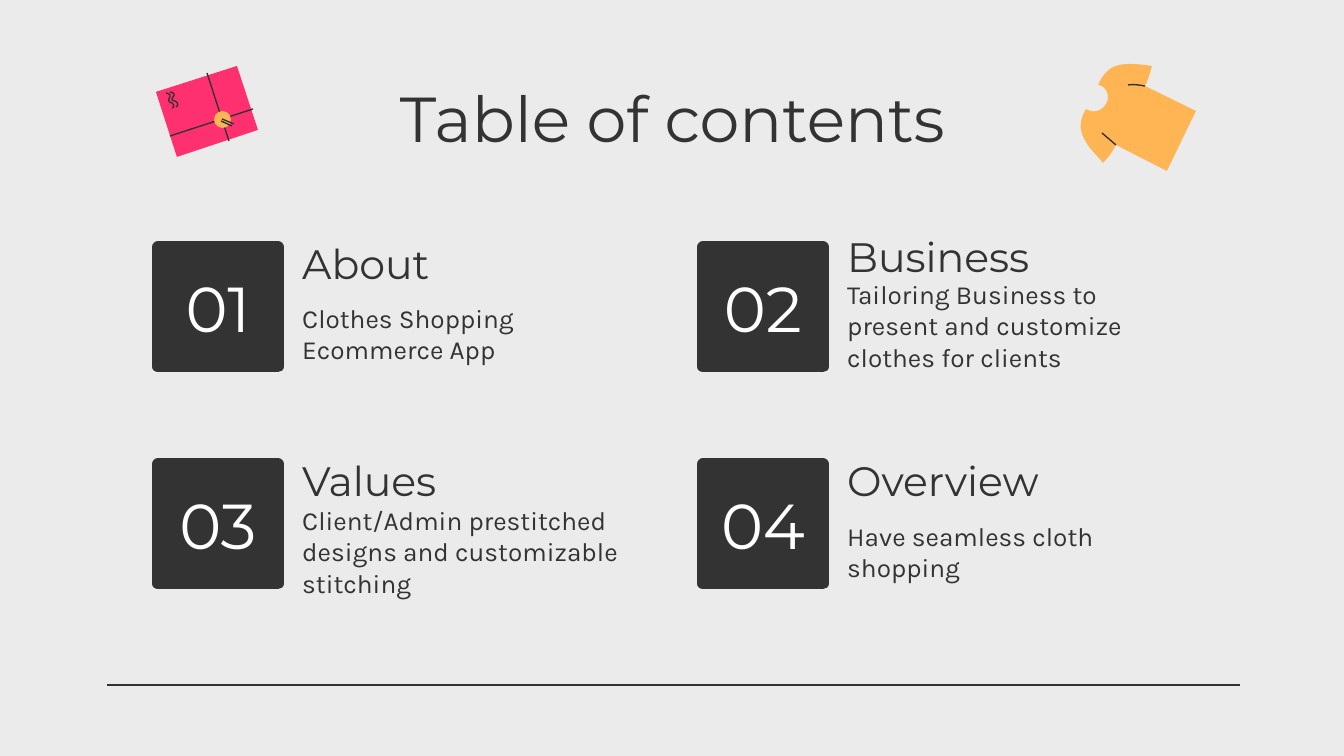
from lxml import etree
from pptx import Presentation
from pptx.dml.color import RGBColor
from pptx.enum.shapes import MSO_CONNECTOR as CONN, MSO_SHAPE as SHAPE
from pptx.enum.text import MSO_ANCHOR as ANCHOR, MSO_AUTO_SIZE as AUTO, PP_ALIGN as ALIGN
from pptx.oxml.ns import qn
from pptx.util import Inches, Pt

PX = Inches(10) / 1344
DARK = RGBColor(0x33, 0x33, 0x33)
LIGHT = RGBColor(0xEB, 0xEB, 0xEB)
WHITE = RGBColor(0xFF, 0xFF, 0xFF)
PINK = RGBColor(0xFF, 0x30, 0x70)
ORANGE = RGBColor(0xFF, 0xB5, 0x54)

prs = Presentation()
prs.slide_width, prs.slide_height = round(1344 * PX), round(756 * PX)
slide = prs.slides.add_slide(prs.slide_layouts[5])
slide.background.fill.solid()
slide.background.fill.fore_color.rgb = LIGHT
shapes = slide.shapes


def write(sp, text, size, font, color, align=ALIGN.LEFT, anchor=ANCHOR.TOP):
    tf = sp.text_frame
    tf.word_wrap, tf.auto_size, tf.vertical_anchor = True, AUTO.NONE, anchor
    tf.margin_left = tf.margin_right = tf.margin_top = tf.margin_bottom = Inches(0.1)
    p = tf.paragraphs[0]
    p.alignment = align
    r = p.add_run()
    r.text = text
    r.font.size, r.font.name, r.font.color.rgb = Pt(size), font, color


def outline(start, segments, fill=None):
    """Pairs are line ends, sixes are cubic curves; without a fill it is a stroke."""
    points = [start]
    for seg in segments:
        if len(seg) == 2:
            points.append(seg)
            continue
        ctrl = [points[-1], seg[:2], seg[2:4], seg[4:]]
        for t in (i / 12 for i in range(1, 13)):
            weights = ((1 - t) ** 3, 3 * t * (1 - t) ** 2, 3 * t * t * (1 - t), t ** 3)
            points.append(tuple(sum(w * c[k] for w, c in zip(weights, ctrl)) for k in (0, 1)))
    points = [(x * PX, y * PX) for x, y in points]
    builder = shapes.build_freeform(*points[0])
    builder.add_line_segments(points[1:], close=fill is not None)
    sp = builder.convert_to_shape()
    sp.shadow.inherit = False
    if fill is None:
        sp.fill.background()
        sp.line.color.rgb, sp.line.width = DARK, Pt(0.75)
    else:
        sp.fill.solid()
        sp.fill.fore_color.rgb = fill
        sp.line.fill.background()


# Title
title = shapes.title
title.left, title.top, title.width, title.height = [round(v * PX) for v in (106, 66, 1133, 85)]
write(title, "Table of contents", 34, "Montserrat", DARK, ALIGN.CENTER)

# Contents: number tile, heading and description; tops of the two texts vary
items = [
    ("01", "About", "Clothes Shopping Ecommerce App", 247, 289),
    ("02", "Business", "Tailoring Business to present and customize clothes for clients", 240, 265),
    ("03", "Values", "Client/Admin prestitched designs and customizable stitching", 464, 491),
    ("04", "Overview", "Have seamless cloth shopping", 464, 507),
]
for i, (number, heading, description, heading_top, description_top) in enumerate(items):
    left, top = 158 + i % 2 * 545, 247 + i // 2 * 217
    tile = shapes.add_shape(SHAPE.RECTANGLE, *[round(v * PX) for v in (left, top, 120, 120)])
    tile.shadow.inherit = False
    tile.fill.solid()
    tile.fill.fore_color.rgb = tile.line.color.rgb = DARK
    tile.line.width = Pt(6)
    etree.SubElement(tile.line._ln, qn("a:round"))
    write(tile, number, 34, "Montserrat", WHITE, ALIGN.CENTER, ANCHOR.MIDDLE)
    for text, y, h, size, font, anchor in (
        (heading, heading_top, 54, 22, "Montserrat", ANCHOR.BOTTOM),
        (description, description_top, 78, 14, "Karla", ANCHOR.TOP),
    ):
        box = shapes.add_textbox(*[round(v * PX) for v in (left + 131, y, 351, h)])
        write(box, text, size, font, DARK, anchor=anchor)

# Envelope and shirt bodies
outline((237, 66), [(258, 130), (177, 157), (156, 92)], PINK)
outline((1130, 64), [
    (1115, 64, 1106, 68, 1098, 85),
    (1106, 86, 1110, 95, 1107, 102), (1103, 111, 1094, 114, 1086, 109),
    (1080, 120, 1078, 129, 1086, 142), (1091, 151, 1098, 156, 1103, 163),
    (1109, 157, 1113, 151, 1116, 145),
    (1167, 171), (1196, 111), (1145, 86),
    (1148, 81, 1150, 73, 1152, 66), (1145, 65, 1137, 64, 1130, 64),
], ORANGE)

# Straight lines: footer rule, envelope strings, shirt seam, button threads
button = None
for x1, y1, x2, y2 in (
    (1240, 685, 107, 685),
    (170, 136, 253, 109), (207, 73, 229, 141),
    (1102, 133, 1116, 145),
    (222, 119, 234, 124), (221, 121, 232, 126),
):
    if x1 == 222:
        button = shapes.add_shape(SHAPE.OVAL, *[round(v * PX) for v in (214, 111, 17, 17)])
        button.shadow.inherit = False
        button.fill.solid()
        button.fill.fore_color.rgb = ORANGE
        button.line.fill.background()
    line = shapes.add_connector(CONN.STRAIGHT, *[round(v * PX) for v in (x1, y1, x2, y2)])
    line.line.color.rgb, line.line.width = DARK, Pt(0.75)
    etree.SubElement(line._element.spPr, qn("a:effectLst"))

# Curved strokes: envelope squiggles and shirt collar seam
outline((170, 92), [(176, 93, 174, 96, 173, 97), (171, 100, 173, 101, 175, 101),
                    (179, 103, 178, 106, 176, 107)])
outline((166, 93), [(172, 94, 170, 97, 169, 99), (168, 103, 172, 102, 173, 104),
                    (175, 106, 173, 108, 172, 108)])
outline((1128, 85), [(1133, 84, 1139, 85, 1145, 86)])

prs.save("out.pptx")
